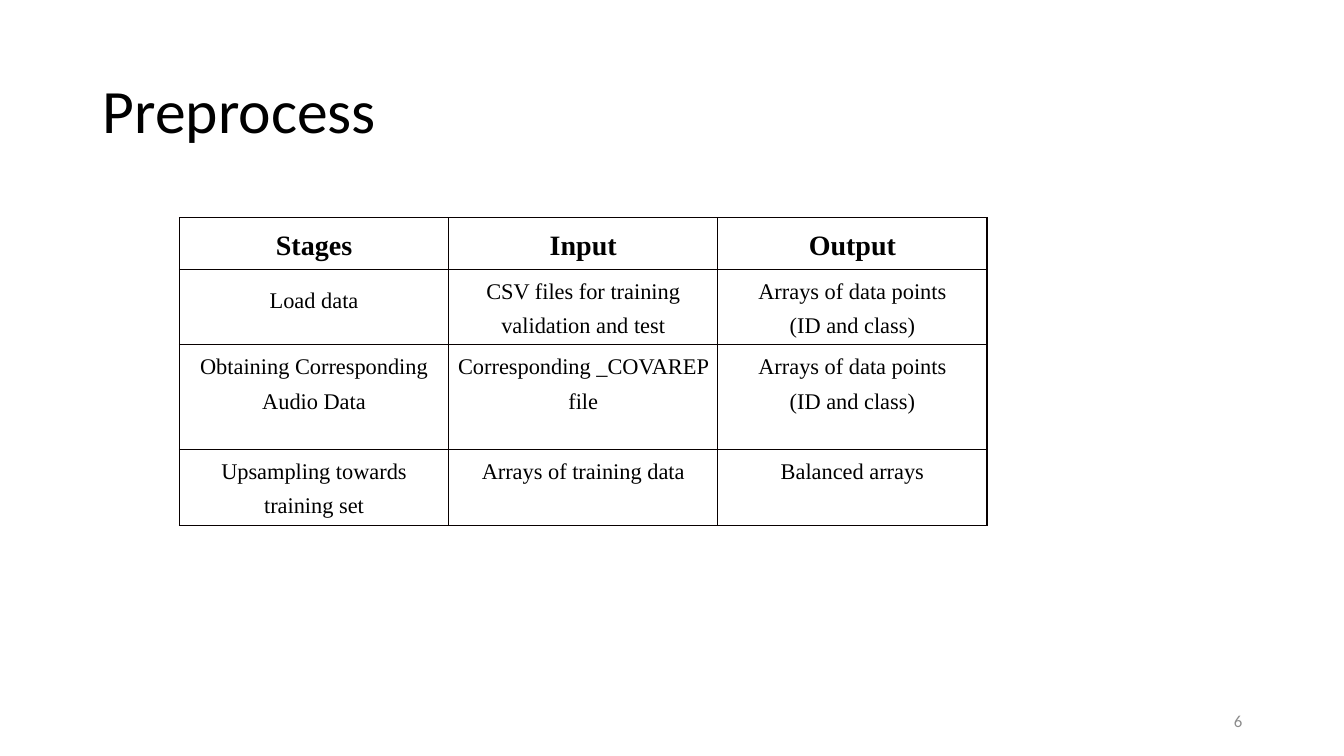
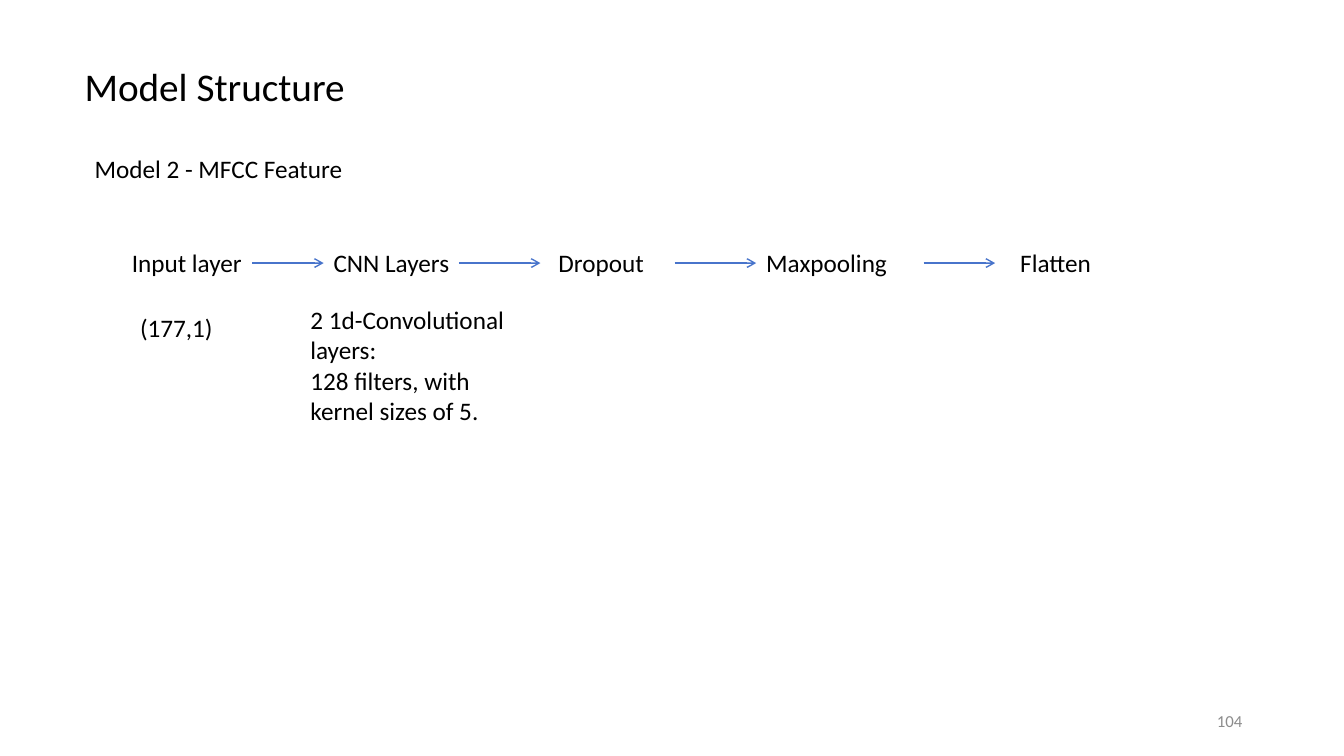
from lxml import etree
from pptx import Presentation
from pptx.dml.color import RGBColor
from pptx.enum import shapes, text
from pptx.oxml.ns import qn
from pptx.util import Inches, Pt

BLACK = RGBColor(0x00, 0x00, 0x00)
BORDER = RGBColor(0x08, 0x00, 0x00)
GREY = RGBColor(0x8C, 0x8C, 0x8C)
BLUE = RGBColor(0x48, 0x74, 0xCB)
SANS, SERIF = "Calibri", "Times New Roman"

STAGES = [
    ("Stages", "Input", "Output"),
    ("Load data", "CSV files for training validation and test",
     "Arrays of data points\n(ID and class)"),
    ("Obtaining Corresponding Audio Data", "Corresponding _COVAREP file",
     "Arrays of data points\n(ID and class)"),
    ("Upsampling towards training set", "Arrays of training data",
     "Balanced arrays"),
]
COL_WIDTH = 2.67
ROW_HEIGHTS = (0.51, 0.69, 1.04, 0.76)

LAYERS = [  # label, left, width
    ("Input layer", 1.21, 1.3),
    ("CNN Layers", 3.21, 3.11),
    ("Dropout", 5.44, 3.11),
    ("Maxpooling", 7.5, 3.11),
    ("Flatten", 10.02, 3.11),
]
ARROWS = [(2.5, 3.21), (4.55, 5.36), (6.69, 7.5), (9.16, 9.87)]
LAYER_TOP, ARROW_Y = 2.4, 2.61
DETAILS = [  # text, position
    ("Model 2 - MFCC Feature", (0.84, 1.47, 3.84, 0.4)),
    ("(177,1)", (1.29, 3.05, 1.92, 0.4)),
    ("2 1d-Convolutional layers:\n128 filters, with kernel sizes of 5.",
     (2.98, 2.97, 2.38, 2.15)),
]


def format_text(tf, size, color=BLACK, font=SANS, bold=False, align=None,
                spacing=None):
    for p in tf.paragraphs:
        p.alignment = align
        p.line_spacing = spacing
        for r in p.runs:
            r.font.name, r.font.size, r.font.bold = font, Pt(size), bold
            r.font.color.rgb = color


def add_text(s, content, box, size=18, anchor=text.MSO_ANCHOR.TOP, **style):
    tf = s.shapes.add_textbox(*map(Inches, box)).text_frame
    tf.word_wrap = True
    tf.vertical_anchor = anchor
    tf.text = content
    format_text(tf, size, **style)


def add_slide(prs, number):
    s = prs.slides.add_slide(prs.slide_layouts[6])
    add_text(s, str(number), (9.42, 6.95, 3, 0.4), 12, text.MSO_ANCHOR.MIDDLE,
             color=GREY, align=text.PP_ALIGN.RIGHT)
    return s


def add_borders(cell):
    tc_pr = cell._tc.get_or_add_tcPr()
    for i, side in enumerate(("lnL", "lnR", "lnT", "lnB")):
        ln = etree.Element(qn(f"a:{side}"), w=str(Pt(1)))
        fill = etree.SubElement(ln, qn("a:solidFill"))
        etree.SubElement(fill, qn("a:srgbClr"), val=str(BORDER))
        tc_pr.insert(i, ln)


def add_stage_table(s):
    table = s.shapes.add_table(
        len(STAGES), len(STAGES[0]), Inches(1.78), Inches(2.16),
        Inches(COL_WIDTH * len(STAGES[0])), Inches(sum(ROW_HEIGHTS))).table
    table.first_row = table.horz_banding = False
    for col in table.columns:
        col.width = Inches(COL_WIDTH)
    for i, (row, height) in enumerate(zip(STAGES, ROW_HEIGHTS)):
        table.rows[i].height = Inches(height)
        for j, content in enumerate(row):
            cell = table.cell(i, j)
            cell.margin_left = cell.margin_right = Inches(0.07)
            cell.margin_top = cell.margin_bottom = 0
            cell.fill.background()
            add_borders(cell)
            cell.text_frame.text = content
            format_text(cell.text_frame, 20 if i == 0 else 16, font=SERIF,
                        bold=i == 0, align=text.PP_ALIGN.CENTER,
                        spacing=1.8 if content == "Load data" else 1.4)


def add_arrow(s, start, end):
    line = s.shapes.add_connector(
        shapes.MSO_CONNECTOR.STRAIGHT, Inches(start), Inches(ARROW_Y),
        Inches(end), Inches(ARROW_Y))
    line.line.color.rgb = BLUE
    line.line.width = Pt(1)
    etree.SubElement(line.line._get_or_add_ln(), qn("a:tailEnd"), type="arrow")
    etree.SubElement(line._element.spPr, qn("a:effectLst"))


def build_preprocess(prs):
    s = add_slide(prs, 6)
    add_text(s, "Preprocess", (0.92, 0.4, 11.5, 1.45), 44,
             text.MSO_ANCHOR.MIDDLE, spacing=0.9)
    add_stage_table(s)


def build_model(prs):
    s = add_slide(prs, 104)
    add_text(s, "Model Structure", (0.74, 0.57, 5.42, 0.57), 28)
    for content, box in DETAILS:
        add_text(s, content, box)
    for label, left, width in LAYERS:
        add_text(s, label, (left, LAYER_TOP, width, 0.4))
    for start, end in ARROWS:
        add_arrow(s, start, end)


def main():
    prs = Presentation()
    prs.slide_width, prs.slide_height = Inches(13.33), Inches(7.5)
    build_preprocess(prs)
    build_model(prs)
    prs.save("out.pptx")


if __name__ == "__main__":
    main()
